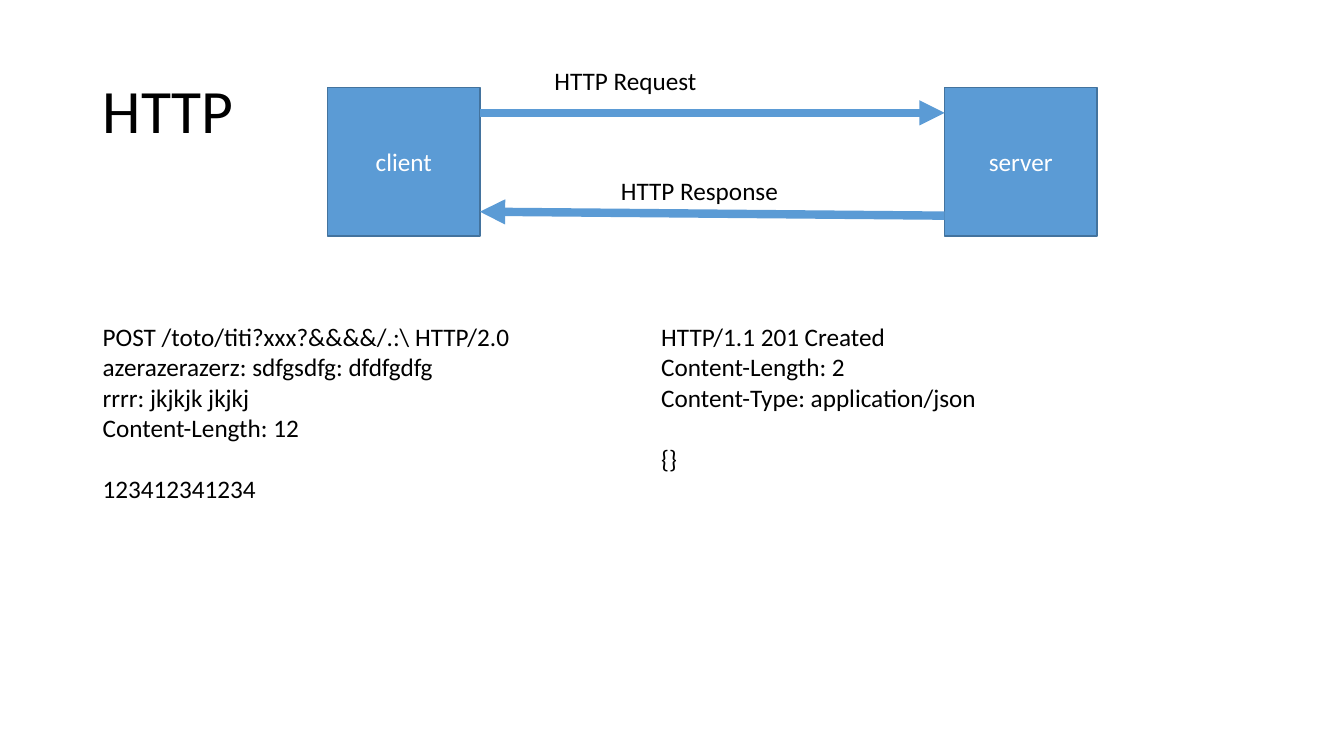
from dataclasses import dataclass

from lxml.etree import SubElement
from pptx import Presentation
from pptx.dml.color import RGBColor
from pptx.enum.shapes import MSO_CONNECTOR, MSO_SHAPE
from pptx.enum.text import MSO_ANCHOR, MSO_AUTO_SIZE, PP_ALIGN
from pptx.oxml.ns import qn
from pptx.util import Inches, Pt

# Content: places are percentages of the slide's width and height
TITLE = ("HTTP", (6.9, 5.33, 86.25, 19.33))
NODES = {"client": 24.38, "server": 70.29}
NODE_TOP, NODE_WIDTH, NODE_HEIGHT = 11.6, 11.33, 19.6
CLIENT_EDGE, SERVER_EDGE = NODES["client"] + NODE_WIDTH, NODES["server"]
EXCHANGES = [
    ("HTTP Request", (40.51, 8, 12.23, 5.33),
     (CLIENT_EDGE, 14.93), (SERVER_EDGE, 14.93)),
    ("HTTP Response", (45.46, 22.53, 13.35, 5.33),
     (SERVER_EDGE, 28.53), (CLIENT_EDGE, 28)),
]
# Each message: place, header lines, body
MESSAGES = [
    ((6.9, 41.87, 32.11, 25.6),
     ["POST /toto/titi?xxx?&&&&/.:\\ HTTP/2.0",
      "azerazerazerz: sdfgsdfg: dfdfgdfg",
      "rrrr: jkjkjk jkjkj",
      "Content-Length: 12"],
     "123412341234"),
    ((48.46, 41.87, 25.28, 21.6),
     ["HTTP/1.1 201 Created",
      "Content-Length: 2",
      "Content-Type: application/json"],
     "{}"),
]


@dataclass(frozen=True)
class Theme:
    font: str = "Calibri"
    accent: RGBColor = RGBColor(0x5B, 0x9B, 0xD5)
    border: RGBColor = RGBColor(0x43, 0x73, 0x9E)
    ink: RGBColor = RGBColor(0, 0, 0)
    light: RGBColor = RGBColor(255, 255, 255)
    title_size: int = 44
    text_size: int = 18
    line_height: int = 22
    border_width: int = 1
    arrow_width: int = 6


THEME = Theme()
deck = Presentation()
deck.slide_width, deck.slide_height = Inches(13.33), Inches(7.5)
slide = deck.slides.add_slide(deck.slide_layouts[6])


def place(*shares):
    """Turn alternating x and y percentages into slide lengths."""
    sides = (deck.slide_width, deck.slide_height)
    return [round(sides[i % 2] * share / 100) for i, share in enumerate(shares)]


def write(paragraph, words, size=THEME.text_size, color=THEME.ink):
    run = paragraph.add_run()
    run.text = words
    run.font.name, run.font.size = THEME.font, Pt(size)
    run.font.color.rgb = color


def add_lines(area, lines):
    frame = slide.shapes.add_textbox(*place(*area)).text_frame
    frame.word_wrap = False
    frame.auto_size = MSO_AUTO_SIZE.SHAPE_TO_FIT_TEXT
    for i, line in enumerate(lines):
        write(frame.add_paragraph() if i else frame.paragraphs[0], line)
    return frame


def add_node(name, left):
    node = slide.shapes.add_shape(
        MSO_SHAPE.RECTANGLE, *place(left, NODE_TOP, NODE_WIDTH, NODE_HEIGHT))
    node.shadow.inherit = False
    node.fill.solid()
    node.fill.fore_color.rgb = THEME.accent
    node.line.color.rgb = THEME.border
    node.line.width = Pt(THEME.border_width)
    node.text_frame.vertical_anchor = MSO_ANCHOR.MIDDLE
    label = node.text_frame.paragraphs[0]
    label.alignment = PP_ALIGN.CENTER
    write(label, name, color=THEME.light)


def add_arrow(start, end):
    arrow = slide.shapes.add_connector(
        MSO_CONNECTOR.STRAIGHT, *place(*start, *end))
    arrow.line.color.rgb = THEME.accent
    arrow.line.width = Pt(THEME.arrow_width)
    SubElement(arrow.line._get_or_add_ln(), qn("a:tailEnd"), type="triangle")
    SubElement(arrow._element.spPr, qn("a:effectLst"))


# Title
title, title_area = TITLE
heading = slide.shapes.add_textbox(*place(*title_area)).text_frame
heading.word_wrap = True
heading.vertical_anchor = MSO_ANCHOR.MIDDLE
heading.paragraphs[0].line_spacing = 0.9
write(heading.paragraphs[0], title, THEME.title_size)

# Client and server with the exchange between them
for node_name, node_left in NODES.items():
    add_node(node_name, node_left)
for caption, caption_area, sender, receiver in EXCHANGES:
    add_arrow(sender, receiver)
    add_lines(caption_area, [caption])

# Messages: the body stands one line below the headers
for message_area, headers, body in MESSAGES:
    message = add_lines(message_area, [*headers, body])
    message.paragraphs[-1].space_before = Pt(THEME.line_height)

deck.save("out.pptx")
